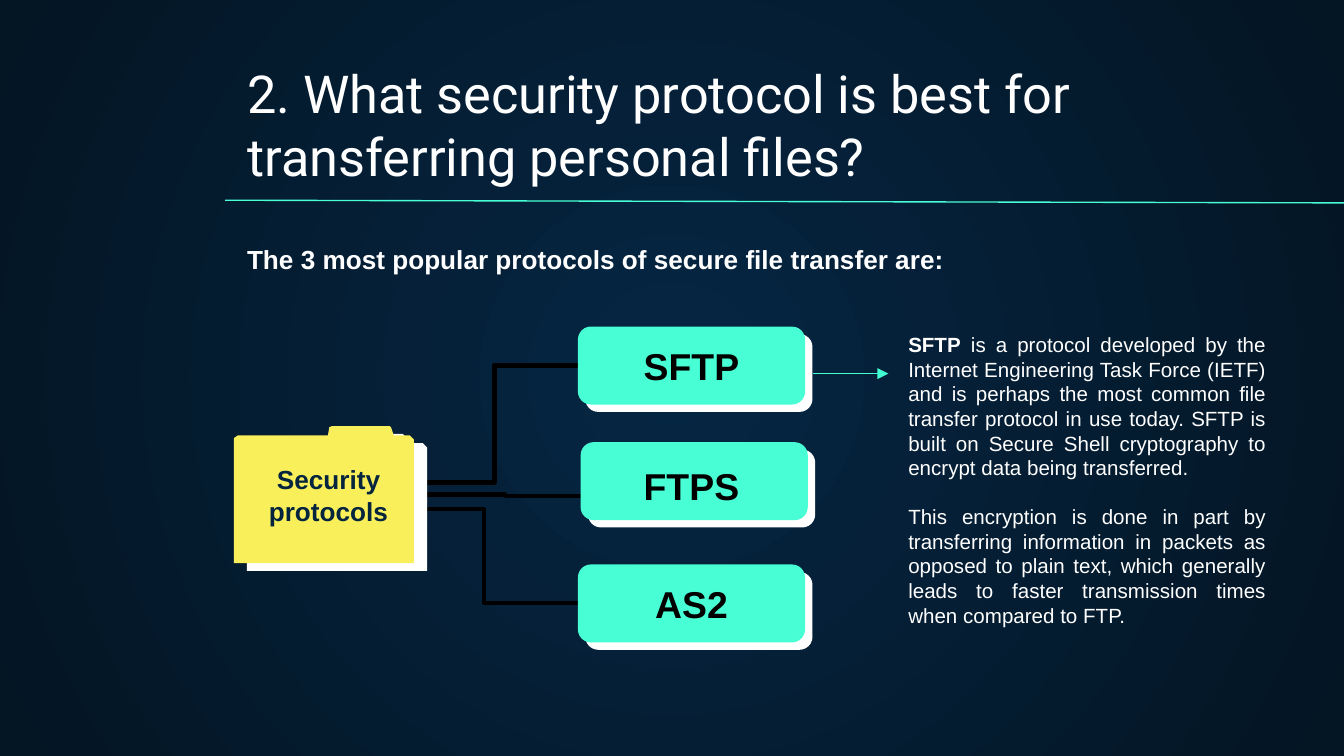
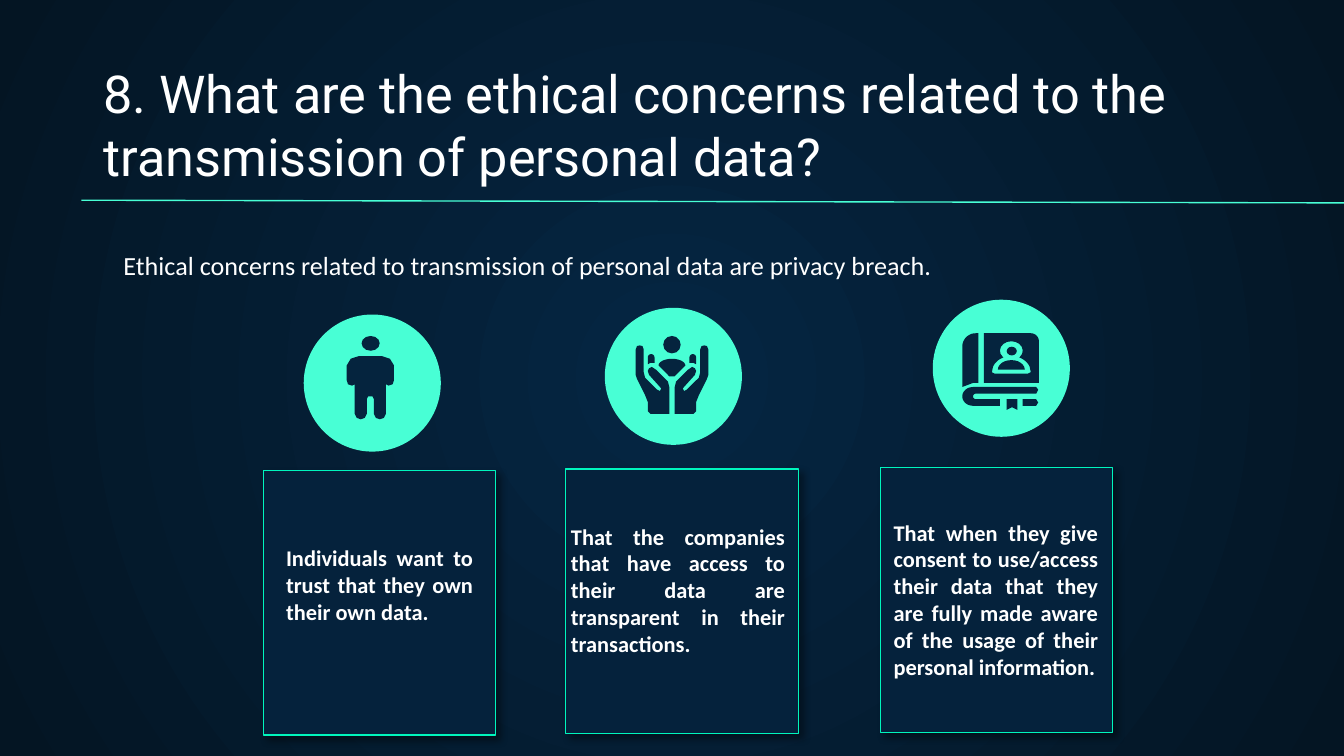
from math import cos, pi, sin

from lxml.etree import SubElement
from pptx import Presentation
from pptx.dml.color import RGBColor
from pptx.enum.shapes import MSO_CONNECTOR, MSO_SHAPE
from pptx.enum.text import MSO_ANCHOR, MSO_AUTO_SIZE, PP_ALIGN
from pptx.oxml.ns import qn
from pptx.util import Inches, Pt

COLS, ROWS = 100, 56.25
CELL = Inches(0.1)
C = {
    "glow": "052643", "edge": "041523", "teal": "48FFD5", "arrow": "42FED3",
    "border": "00F5BD", "card": "05223C", "ink": "05243E", "folder": "F8EF5B",
    "white": "FFFFFF", "black": "000000",
}
TITLE_FONT, DIAGRAM_FONT, BODY_FONT = "Roboto", "Arial", "Calibri"


def rgb(name):
    return RGBColor.from_string(C[name])


def grid(*cells):
    return [round(cell * CELL) for cell in cells]


def radial_background(prs):
    master = prs.slide_master
    fill = master.background.fill
    fill.gradient()
    for stop, name in zip(fill.gradient_stops, ("glow", "edge")):
        stop.color.rgb = rgb(name)
    grad = master.element.find(".//" + qn("a:gradFill"))
    grad.remove(grad.find(qn("a:lin")))
    circle = SubElement(grad, qn("a:path"), path="circle")
    SubElement(circle, qn("a:fillToRect"), l="50000", t="50000", r="50000", b="50000")


def paint(sp, fill, line=None, shadow=None):
    sp.fill.solid()
    sp.fill.fore_color.rgb = rgb(fill)
    if line:
        sp.line.color.rgb = rgb(line)
        sp.line.width = Pt(0.75)
    else:
        sp.line.fill.background()
    sp.shadow.inherit = False
    if shadow:
        color, alpha, blur, dist, angle = shadow
        effects = sp._element.spPr.find(qn("a:effectLst"))
        outer = SubElement(effects, qn("a:outerShdw"), blurRad=str(Pt(blur)),
                           dist=str(Pt(dist)), dir=str(angle * 60000),
                           algn="bl", rotWithShape="0")
        clr = SubElement(outer, qn("a:srgbClr"), val=C[color])
        SubElement(clr, qn("a:alpha"), val=str(alpha * 1000))
    return sp


def preset(s, kind, box, fill, line=None, shadow=None):
    return paint(s.shapes.add_shape(kind, *grid(*box)), fill, line, shadow)


def outline(s, contours, fill="ink", shadow=None):
    first, *rest = [[grid(*pt) for pt in pts] for pts in contours]
    builder = s.shapes.build_freeform(*first[0])
    builder.add_line_segments(first[1:])
    for pts in rest:
        builder.move_to(*pts[0])
        builder.add_line_segments(pts[1:])
    return paint(builder.convert_to_shape(), fill, shadow=shadow)


def mirror(pts, axis):
    return [(2 * axis - x, y) for x, y in reversed(pts)]


def arc(cx, cy, rx, ry, start=180, end=360, steps=12):
    angles = [(start + (end - start) * i / steps) * pi / 180 for i in range(steps + 1)]
    return [(cx + rx * cos(a), cy + ry * sin(a)) for a in angles]


def line(s, kind, start, end, color, width, arrow=False):
    cn = s.shapes.add_connector(kind, *grid(*start, *end))
    cn.line.color.rgb = rgb(color)
    cn.line.width = Pt(width)
    if arrow:
        SubElement(cn.line._get_or_add_ln(), qn("a:tailEnd"), type="triangle")
    SubElement(cn._element.spPr, qn("a:effectLst"))


def style(p, size, font, color, bold=False, align=PP_ALIGN.LEFT):
    p.alignment = align
    p.font.size = Pt(size)
    p.font.name = font
    p.font.bold = bold
    p.font.color.rgb = rgb(color)


def text(s, box, paragraphs, size, font, color="white", bold=False,
         align=PP_ALIGN.LEFT, anchor=MSO_ANCHOR.TOP, lead="", gap=0):
    tf = s.shapes.add_textbox(*grid(*box)).text_frame
    tf.word_wrap = True
    tf.vertical_anchor = anchor
    for i, content in enumerate(paragraphs):
        p = tf.add_paragraph() if i else tf.paragraphs[0]
        if lead and not i:
            r = p.add_run()
            r.text = lead
            r.font.bold = True
        p.add_run().text = content
        style(p, size, font, color, bold, align)
        p.space_after = Pt(gap if i < len(paragraphs) - 1 else 0)


def question_slide(prs, question, left):
    s = prs.slides.add_slide(prs.slide_layouts[5])
    title = s.shapes.title
    title.left, title.top, title.width, title.height = grid(left, 8.3, 99.1 - left, 6.6)
    tf = title.text_frame
    tf.text = question
    tf.word_wrap = True
    tf.auto_size = MSO_AUTO_SIZE.NONE
    tf.vertical_anchor = MSO_ANCHOR.BOTTOM
    tf.margin_left = tf.margin_right = tf.margin_top = tf.margin_bottom = CELL
    style(tf.paragraphs[0], 28, TITLE_FONT, "white")
    line(s, MSO_CONNECTOR.STRAIGHT, (left - 0.65, 14.9), (100.9, 15.1), "teal", 0.75)
    return s


def protocol_box(s, name, left, top, label_top):
    for shift, color in ((0.55, "white"), (0, "teal")):
        preset(s, MSO_SHAPE.ROUNDED_RECTANGLE,
               (left + shift, top + shift, 16.9, 5.8), color)
    text(s, (44, label_top, 14.9, 5.8), [name], 20, DIAGRAM_FONT, "black", True,
         PP_ALIGN.CENTER, MSO_ANCHOR.MIDDLE)


def folder(s):
    outline(s, [[(17.4, 32.6), (17.7, 32.4), (24.4, 32.4), (24.5, 31.8), (24.7, 31.7),
                 (29, 31.7), (29.1, 31.8), (29.3, 32.4), (30.5, 32.4), (30.8, 32.7),
                 (30.8, 41.9), (17.4, 41.9), (17.4, 32.6)]],
            "folder", ("white", 100, 0, 8.2, 31))
    text(s, (16.1, 34, 16.7, 5.7), ["Security protocols"], 14, DIAGRAM_FONT, "ink",
         True, PP_ALIGN.CENTER)


def person_icon(s):
    preset(s, MSO_SHAPE.OVAL, (26.9, 25, 1.35, 1.1), "ink")
    half = [(27.4, 29.5), (27.3, 29.7), (27.3, 30.8), (27.15, 31.1), (26.85, 31.2),
            (26.55, 31.1), (26.4, 30.8), (26.4, 28.6), (26.2, 28.7), (25.9, 28.6),
            (25.8, 28.3), (25.8, 27.2), (26.1, 26.7), (26.7, 26.5)]
    outline(s, [half + mirror(half, 27.56)])


def caring_hands_icon(s):
    hand = [(47.3, 26), (47.4, 25.75), (47.6, 25.7), (47.8, 25.75), (47.9, 26),
            (47.9, 27.7), (48, 28.1), (48.9, 29), (49.1, 29.1), (49.2, 28.9),
            (48.3, 27.9), (48.2, 27.6), (48.3, 27.4), (48.5, 27.3), (48.8, 27.5),
            (49.7, 28.4), (49.8, 28.8), (49.8, 30.8), (48.4, 30.8), (48.2, 30.6),
            (48.2, 29.9), (48, 29.4), (47.4, 28.2), (47.3, 27.9)]
    finger = [(48.2, 27.1), *arc(48.45, 26.6, 0.25, 0.25), (48.7, 27), (48.4, 27)]
    for part in (hand, finger):
        outline(s, [part])
        outline(s, [mirror(part, 50)])
    preset(s, MSO_SHAPE.OVAL, (49.35, 25, 1.3, 1.3), "ink")
    outline(s, [[*arc(50, 27.2, 1, 0.5), (50.2, 28), (49.8, 28)]])


def rule_book_icon(s):
    outline(s, [[*arc(72.6, 25.8, 1, 1, 180, 270), (72.8, 24.8), (72.8, 28.5),
                 (72.4, 28.5), (71.6, 28.8)]])
    outline(s, [[*arc(72.4, 29.5, 0.8, 0.7, 270, 90), (74.4, 30.2), (74.4, 29.7),
                 *arc(72.6, 29.5, 0.2, 0.2, 90, 270), (77.1, 29.3), (77.25, 29),
                 (77.1, 28.8)]])
    outline(s, [[(76.1, 29.7), (77.1, 29.7), (77.25, 29.95), (77.1, 30.2), (76.1, 30.2)]])
    cover = [(73.2, 24.8), *arc(76.7, 25.4, 0.6, 0.6, 270, 360), (77.3, 28.5), (73.2, 28.5),
             (73.2, 24.8)]
    bust = [(73.8, 27.7), *arc(75.25, 27.7, 1.45, 1.2, 200, 246),
            *arc(75.25, 26.1, 0.85, 0.7, 140, 400),
            *arc(75.25, 27.7, 1.45, 1.2, 294, 340), (76.7, 27.7),
            (76.5, 27.8), (74, 27.8), (73.8, 27.7)]
    outline(s, [cover, bust])
    preset(s, MSO_SHAPE.OVAL, (74.9, 25.8, 0.75, 0.65), "ink")
    outline(s, [arc(75.25, 27.5, 1, 0.7)])
    outline(s, [[(74.9, 29.7), (74.9, 30.5), (75.3, 30.3), (75.7, 30.5), (75.7, 29.7)]])


def concern(s, circle, card, box, content, icon):
    preset(s, MSO_SHAPE.RECTANGLE, (*card, 17.3, 19.7), "card", "border",
           ("black", 40, 4, 3, 45))
    preset(s, MSO_SHAPE.OVAL, (*circle, 10.2, 10.2), "teal")
    text(s, box, [content], 12, BODY_FONT, bold=True, align=PP_ALIGN.JUSTIFY)
    icon(s)


def protocols_slide(prs):
    s = question_slide(
        prs, "2. What security protocol is best for transferring personal files?", 17.4)
    text(s, (17.4, 17.6, 61, 3.4),
         ["The 3 most popular protocols of secure file transfer are:"],
         14, DIAGRAM_FONT, bold=True)
    for start, end in (((43, 27.2), (30.6, 35.9)), ((43.4, 36.9), (31.8, 36.8)),
                       ((43, 44.9), (29, 37.9))):
        line(s, MSO_CONNECTOR.ELBOW, start, end, "black", 2.25)
    folder(s)
    for name, left, top, label_top in (("SFTP", 43, 24.3, 24.3), ("FTPS", 43.2, 32.9, 33.2),
                                       ("AS2", 43, 42, 42)):
        protocol_box(s, name, left, top, label_top)
    line(s, MSO_CONNECTOR.STRAIGHT, (60.5, 27.8), (66.1, 27.8), "arrow", 0.75, True)
    text(s, (66.6, 24.2, 28.6, 23.2), [
        " is a protocol developed by the Internet Engineering Task Force (IETF) and is "
        "perhaps the most common file transfer protocol in use today. SFTP is built on "
        "Secure Shell cryptography to encrypt data being transferred.",
        "This encryption is done in part by transferring information in packets as opposed "
        "to plain text, which generally leads to faster transmission times when compared "
        "to FTP."],
        11, DIAGRAM_FONT, align=PP_ALIGN.JUSTIFY, lead="SFTP", gap=13)


def ethics_slide(prs):
    s = question_slide(
        prs, "8. What are the ethical concerns related to the transmission of personal data?",
        6.7)
    text(s, (8.2, 18.1, 71.2, 3.4),
         ["Ethical concerns related to transmission of personal data are privacy breach."],
         14, BODY_FONT)
    concern(s, (22.6, 23.4), (19.6, 35), (20.3, 40, 15.9, 7.1),
            "Individuals want to trust that they own their own data.", person_icon)
    concern(s, (45, 22.9), (42.1, 34.9), (41.5, 38.4, 17.9, 11.1),
            "That the companies that have access to their data are transparent in their "
            "transactions.", caring_hands_icon)
    concern(s, (69.4, 22.3), (65.5, 34.8), (65.5, 38.1, 17.2, 13.1),
            "That when they give consent to use/access their data that they are fully made "
            "aware of the usage of their personal information.", rule_book_icon)


def main():
    prs = Presentation()
    prs.slide_width, prs.slide_height = grid(COLS, ROWS)
    radial_background(prs)
    protocols_slide(prs)
    ethics_slide(prs)
    prs.save("out.pptx")


if __name__ == "__main__":
    main()
